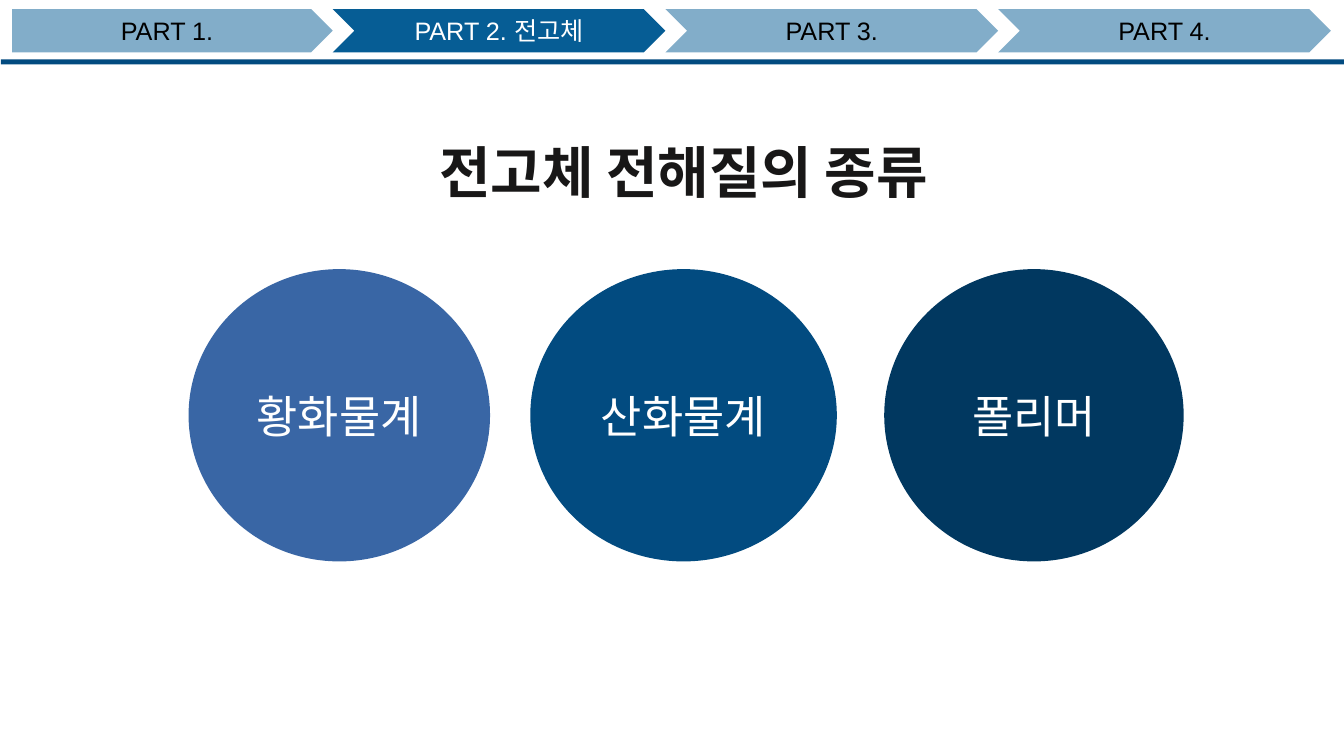
from lxml import etree
from pptx import Presentation, util as u
from pptx.dml.color import RGBColor
from pptx.enum import shapes, text
from pptx.oxml.ns import qn

WIDTH, HEIGHT = 13.33, 7.5
COLORS = {
    "bar": "024B80", "step": "065D95", "title": "181717",
    "white": "FFFFFF", "black": "000000",
    "sulfide": "3966A5", "oxide": "024B80", "polymer": "013860",
}
KOREAN, LATIN = "Noto Sans CJK KR", "Arial"

TITLE = "전고체 전해질의 종류"
STEPS = ["PART 1.", "PART 2. 전고체", "PART 3.", "PART 4."]
CURRENT_STEP = 1
# label, colour, left, width
ELECTROLYTES = [
    ("황화물계", "sulfide", 1.87, 2.99),
    ("산화물계", "oxide", 5.26, 3.04),
    ("폴리머", "polymer", 8.77, 2.97),
]
STEP_WIDTH, STEP_TOP, STEP_HEIGHT = 3.3, 0.09, 0.43
FIRST_STEP_LEFT = 0.12
CIRCLE_TOP, CIRCLE_HEIGHT = 2.67, 2.9


def write(shape, label, size, font_name, color, bold=False):
    frame = shape.text_frame
    frame.word_wrap = True
    frame.vertical_anchor = text.MSO_ANCHOR.MIDDLE
    paragraph = frame.paragraphs[0]
    paragraph.text = label
    paragraph.alignment = text.PP_ALIGN.CENTER
    font = paragraph.font
    font.size, font.name, font.bold = u.Pt(size), font_name, bold
    font.color.rgb = RGBColor.from_string(COLORS[color])
    latin = next(paragraph._p.iter(qn("a:latin")))
    east_asian = etree.Element(qn("a:ea"), typeface=KOREAN)
    latin.addnext(east_asian)
    return paragraph


def add_filled(slide, kind, box, color, opacity=100):
    shape = slide.shapes.add_shape(kind, *map(u.Inches, box))
    shape.shadow.inherit = False
    shape.line.fill.background()
    shape.fill.solid()
    shape.fill.fore_color.rgb = RGBColor.from_string(COLORS[color])
    if opacity < 100:
        fill_color = next(shape._element.spPr.iter(qn("a:srgbClr")))
        etree.SubElement(fill_color, qn("a:alpha"), val=str(opacity * 1000))
    return shape


def main():
    presentation = Presentation()
    presentation.slide_width = u.Inches(WIDTH)
    presentation.slide_height = u.Inches(HEIGHT)
    slide = presentation.slides.add_slide(presentation.slide_layouts[6])
    kinds = shapes.MSO_SHAPE

    add_filled(slide, kinds.RECTANGLE, (0.01, 0.59, WIDTH, 0.05), "bar")

    title = slide.shapes.add_textbox(*map(u.Inches, (3.92, 1.01, 5.72, 1.45)))
    write(title, TITLE, 40, KOREAN, "title", bold=True).line_spacing = 0.9

    for label, color, left, width in ELECTROLYTES:
        box = (left, CIRCLE_TOP, width, CIRCLE_HEIGHT)
        write(add_filled(slide, kinds.OVAL, box, color), label, 32, KOREAN, "white")

    for index, label in enumerate(STEPS):
        current = index == CURRENT_STEP
        kind = kinds.CHEVRON if index else kinds.PENTAGON
        left = max(index * STEP_WIDTH, FIRST_STEP_LEFT)
        width = (index + 1) * STEP_WIDTH - left
        box = (left, STEP_TOP, width, STEP_HEIGHT)
        step = add_filled(slide, kind, box, "step", 100 if current else 50)
        write(step, label, 18, LATIN, "white" if current else "black")

    presentation.save("out.pptx")


if __name__ == "__main__":
    main()
